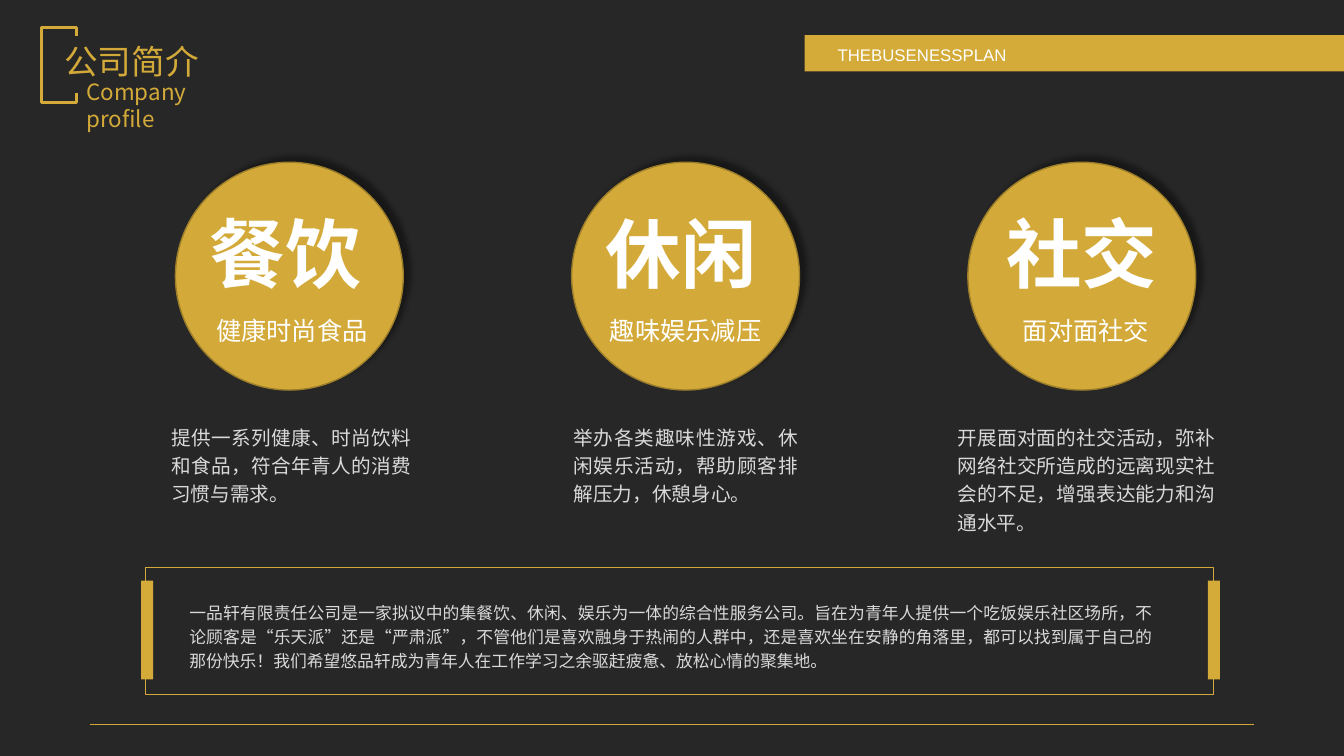
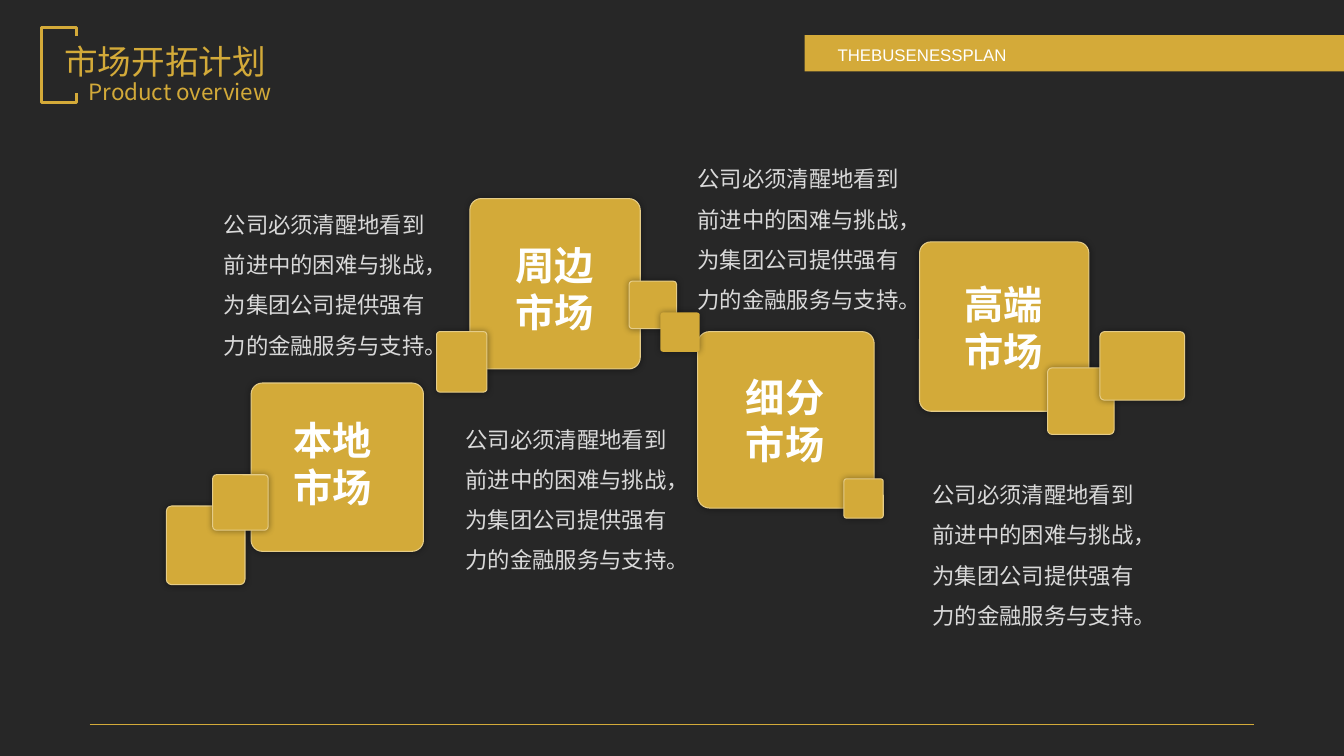
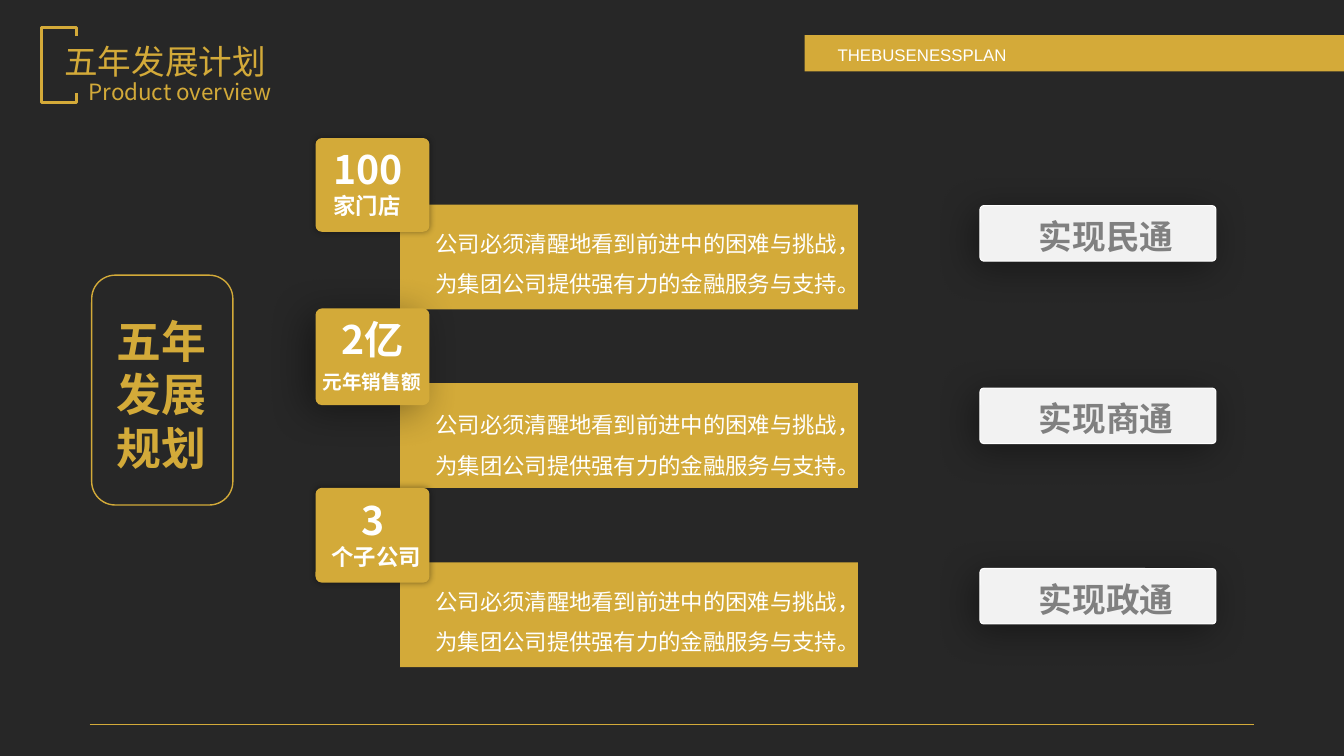
import pptx
import pptx.dml.color
import pptx.enum.shapes
import pptx.enum.text
import pptx.oxml.ns
import pptx.util
from lxml import etree
from pptx.util import Inches

SHAPE = pptx.enum.shapes.MSO_SHAPE
ALIGN = pptx.enum.text.PP_ALIGN
qn = pptx.oxml.ns.qn

FONT = "Noto Sans CJK SC"
DARK, GOLD, BAND_GOLD, BRONZE, PALE_GOLD = "272727", "D3AA39", "D4AA39", "9C7E2A", "E5CC88"
WHITE, LIGHT, PANEL, GREY = "FFFFFF", "D9D9D9", "F2F2F2", "808080"
CORNER = 0.067

# Shadows: blur (pt), distance (pt), direction (degrees)
CIRCLE_SHADOW = (4, 6, 315)
GLOW = (5, 0, 0)
BADGE_SHADOW = (29, 8, 150)
GOAL_SHADOW = (27, 6, 135)

BANNER = "THEBUSENESSPLAN"
BRACKET = [(0.76, 0.36), (0.76, 0.27), (0.41, 0.27), (0.41, 1.02), (0.76, 1.02), (0.76, 0.92)]
SUPPORT = "公司必须清醒地看到前进中的困难与挑战，为集团公司提供强有力的金融服务与支持。"

# name, name left, caption, caption left and width, description, its left, width and height
BUSINESSES = [
    ("餐饮", 1.98, "健康时尚食品", 2.01, 1.77,
     "提供一系列健康、时尚饮料和食品，符合年青人的消费习惯与需求。", 1.6, 2.58, 0.95),
    ("休闲", 5.91, "趣味娱乐减压", 5.91, 1.78,
     "举办各类趣味性游戏、休闲娱乐活动，帮助顾客排解压力，休憩身心。", 5.59, 2.42, 0.95),
    ("社交", 9.88, "面对面社交", 9.95, 1.64,
     "开展面对面的社交活动，弥补网络社交所造成的远离现实社会的不足，增强表达能力和沟通水平。",
     9.4, 2.75, 1.23),
]
ABOUT = ("一品轩有限责任公司是一家拟议中的集餐饮、休闲、娱乐为一体的综合性服务公司。"
         "旨在为青年人提供一个吃饭娱乐社区场所，不论顾客是“乐天派”还是“严肃派”，"
         "不管他们是喜欢融身于热闹的人群中，还是喜欢坐在安静的角落里，都可以找到属于自己的那份快乐！"
         "我们希望悠品轩成为青年人在工作学习之余驱赶疲惫、放松心情的聚集地。")

# name, block box, name position, description position
MARKETS = [
    ("本地\n市场", (2.49, 3.8, 1.71, 1.67), (2.81, 4.08), (2.12, 1.91)),
    ("周边\n市场", (4.66, 1.97, 1.69, 1.69), (5.01, 2.34), (4.52, 4.04)),
    ("细分\n市场", (6.92, 3.29, 1.75, 1.75), (7.3, 3.65), (6.82, 1.46)),
    ("高端\n市场", (9.12, 2.4, 1.68, 1.68), (9.47, 2.73), (9.15, 4.59)),
]
TILES = [
    (10.39, 3.65, 0.66, 0.66), (4.33, 3.29, 0.5, 0.6), (1.65, 5.02, 0.78, 0.78),
    (2.11, 4.71, 0.55, 0.55), (8.37, 4.75, 0.39, 0.39), (6.24, 2.79, 0.47, 0.47),
    (10.91, 3.29, 0.84, 0.68),
]
PLAIN_TILE = (6.55, 3.1, 0.39, 0.39)

# band top, description top, badge top and height, badge shadow,
# figure with its box, unit with its box and size
TARGETS = [
    (2.03, 2.1, 1.37, 0.93, GLOW, "100", (3.21, 1.39, 1.01, 0.57),
     "家门店", (3.21, 1.86, 1.19, 0.37), 16),
    (3.8, 3.9, 3.06, 0.96, BADGE_SHADOW, "2亿", (3.29, 3.08, 1.01, 0.57),
     "元年销售额", (3.1, 3.62, 1.38, 0.34), 14),
    (5.58, 5.65, 4.84, 0.94, GLOW, "3", (3.49, 4.87, 0.6, 0.57),
     "个子公司", (3.19, 5.34, 1.79, 0.37), 16),
]
GOALS = [("实现民通", 2.04), ("实现商通", 3.85), ("实现政通", 5.64)]


def rgb(color):
    return pptx.dml.color.RGBColor.from_string(color)


def set_line(sp, color, width):
    sp.line.color.rgb = rgb(color)
    sp.line.width = pptx.util.Pt(width)


def add_shadow(sp, blur, distance, degrees):
    """Give the shape a 40 % black outer shadow."""
    effects = sp._element.spPr.find(qn("a:effectLst"))
    outer = etree.SubElement(effects, qn("a:outerShdw"), blurRad=str(pptx.util.Pt(blur)),
                             dist=str(pptx.util.Pt(distance)), dir=str(degrees * 60000),
                             algn="ctr", rotWithShape="0")
    black = etree.SubElement(outer, qn("a:srgbClr"), val="000000")
    etree.SubElement(black, qn("a:alpha"), val="40000")


def add_box(s, kind, box, fill=None, line=None, shadow=None, corner=None):
    sp = s.shapes.add_shape(kind, *map(Inches, box))
    sp.shadow.inherit = False
    if corner is not None:
        sp.adjustments[0] = corner
    if fill:
        sp.fill.solid()
        sp.fill.fore_color.rgb = rgb(fill)
    else:
        sp.fill.background()
    if line:
        set_line(sp, *line)
    else:
        sp.line.fill.background()
    if shadow:
        add_shadow(sp, *shadow)
    return sp


def add_text(s, text, box, size, color, bold=False, align=ALIGN.LEFT, spacing=None,
             font=FONT, wrap=True):
    tf = s.shapes.add_textbox(*map(Inches, box)).text_frame
    tf.word_wrap = wrap
    tf.auto_size = pptx.enum.text.MSO_AUTO_SIZE.SHAPE_TO_FIT_TEXT
    tf.text = text
    for p in tf.paragraphs:
        p.alignment = align
        if spacing:
            p.line_spacing = spacing
        for r in p.runs:
            r.font.size = pptx.util.Pt(size)
            r.font.bold = bold
            r.font.color.rgb = rgb(color)
            r.font.name = font
            etree.SubElement(r._r.get_or_add_rPr(), qn("a:ea"), typeface=font)


def add_slide(prs, title, subtitle, subtitle_box):
    """Add a slide with the banner, footer rule, bracket and heading."""
    s = prs.slides.add_slide(prs.slide_layouts[6])
    add_box(s, SHAPE.RECTANGLE, (7.98, 0.35, 5.35, 0.36), BAND_GOLD)
    add_text(s, BANNER, (8.21, 0.39, 4.9, 0.3), 12, WHITE, align=ALIGN.JUSTIFY, font="Arial")
    rule = s.shapes.add_connector(pptx.enum.shapes.MSO_CONNECTOR.STRAIGHT,
                                  Inches(0.89), Inches(7.19), Inches(12.44), Inches(7.19))
    set_line(rule, GOLD, 0.5)
    etree.SubElement(rule._element.spPr, qn("a:effectLst"))

    points = [(Inches(x), Inches(y)) for x, y in BRACKET]
    builder = s.shapes.build_freeform(*points[0])
    builder.add_line_segments(points[1:], close=False)
    bracket = builder.convert_to_shape()
    bracket.shadow.inherit = False
    bracket.fill.background()
    set_line(bracket, BAND_GOLD, 2.25)

    add_text(s, title, (0.54, 0.36, 2.59, 0.5), 24, GOLD)
    add_text(s, subtitle, subtitle_box, 16, GOLD)
    return s


def build_profile(prs):
    s = add_slide(prs, "公司简介", "Company profile", (0.76, 0.73, 1.75, 0.64))
    for i, (name, name_x, caption, cap_x, cap_w, about, x, w, h) in enumerate(BUSINESSES):
        add_box(s, SHAPE.OVAL, (1.74 + 3.93 * i, 1.61, 2.26, 2.26), GOLD, (BRONZE, 1),
                CIRCLE_SHADOW)
        add_text(s, name, (name_x, 2, 1.72, 1.01), 54, WHITE, bold=True, wrap=False)
        add_text(s, caption, (cap_x, 3.08, cap_w, 0.4), 18, WHITE, align=ALIGN.CENTER)
        add_text(s, about, (x, 4.13, w, h), 14, LIGHT, align=ALIGN.JUSTIFY, spacing=1.2)

    add_box(s, SHAPE.RECTANGLE, (1.44, 5.63, 10.6, 1.26), line=(GOLD, 0.75))
    for x in (1.4, 11.98):
        add_box(s, SHAPE.RECTANGLE, (x, 5.76, 0.12, 0.98), BAND_GOLD)
    add_text(s, ABOUT, (1.78, 5.89, 9.76, 0.83), 12, LIGHT, align=ALIGN.JUSTIFY, spacing=1.2)


def build_markets(prs):
    s = add_slide(prs, "市场开拓计划", "Product overview", (0.78, 0.73, 2.17, 0.37))
    for box in [block for _, block, _, _ in MARKETS] + TILES:
        add_box(s, SHAPE.ROUNDED_RECTANGLE, box, GOLD, (PALE_GOLD, 0.75), GLOW, CORNER)
    add_box(s, SHAPE.ROUNDED_RECTANGLE, PLAIN_TILE, GOLD, shadow=GLOW, corner=CORNER)
    for name, _, name_at, about_at in MARKETS:
        add_text(s, name, (*name_at, 0.99, 1.04), 28, WHITE, bold=True, wrap=False)
        add_text(s, SUPPORT, (*about_at, 2.21, 2.02), 16, LIGHT, spacing=1.5)


def build_five_year_plan(prs):
    s = add_slide(prs, "五年发展计划", "Product overview", (0.78, 0.73, 2.17, 0.37))
    add_box(s, SHAPE.ROUNDED_RECTANGLE, (0.91, 2.73, 1.4, 2.28), line=(GOLD, 1))
    add_text(s, "五年\n发展规划", (0.9, 3.06, 1.41, 1.72), 32, GOLD, bold=True,
             align=ALIGN.CENTER)

    for (band_y, about_y, badge_y, badge_h, shadow,
         figure, figure_box, unit, unit_box, unit_size) in TARGETS:
        add_box(s, SHAPE.RECTANGLE, (3.97, band_y, 4.54, 1.04), GOLD)
        add_box(s, SHAPE.ROUNDED_RECTANGLE, (3.13, badge_y, 1.13, badge_h), GOLD,
                shadow=shadow, corner=CORNER)
        add_text(s, figure, figure_box, 28, WHITE, bold=True)
        add_text(s, unit, unit_box, unit_size, WHITE, bold=True)
        add_text(s, SUPPORT, (4.22, about_y, 4.45, 1.18), 16, WHITE, spacing=1.5)

    for goal, y in GOALS:
        add_box(s, SHAPE.ROUNDED_RECTANGLE, (9.72, y, 2.34, 0.55), PANEL, (WHITE, 0.75),
                GOAL_SHADOW, CORNER)
        add_text(s, goal, (9.86, y + 0.05, 2.22, 0.5), 24, GREY, bold=True, align=ALIGN.CENTER)


def main():
    prs = pptx.Presentation()
    prs.slide_width, prs.slide_height = Inches(13.33), Inches(7.5)
    background = prs.slide_master.background.fill
    background.solid()
    background.fore_color.rgb = rgb(DARK)
    build_profile(prs)
    build_markets(prs)
    build_five_year_plan(prs)
    prs.save("out.pptx")


if __name__ == "__main__":
    main()
